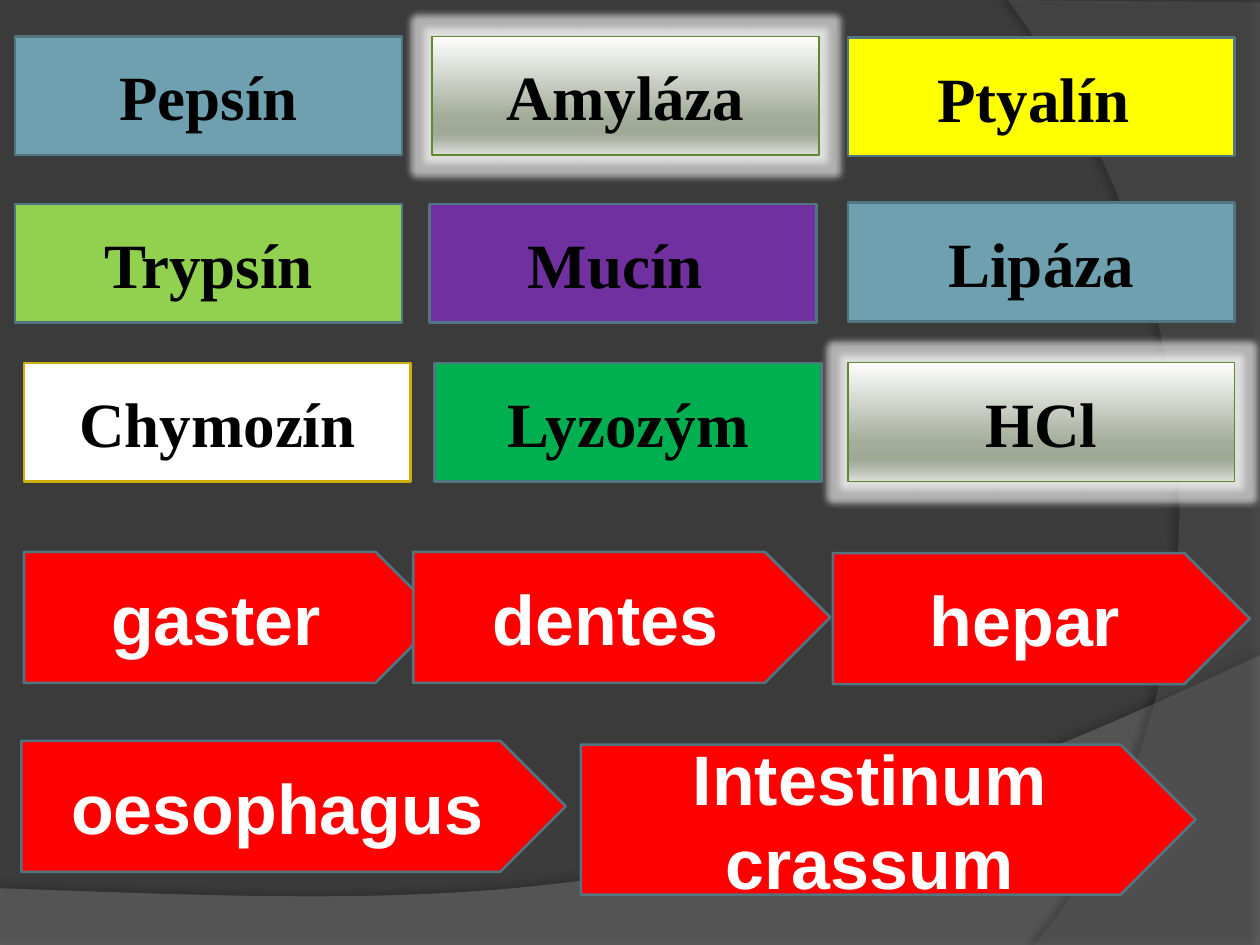
from lxml.etree import SubElement
from pptx import Presentation
from pptx.dml.color import RGBColor
from pptx.enum.shapes import MSO_SHAPE as Preset
from pptx.enum.text import MSO_ANCHOR as Anchor, PP_ALIGN as Align
from pptx.oxml.ns import qn
from pptx.util import Inches, Pt

COLORS = {
    "background": "3B3B3B", "floor": "7F7F7F", "side": "5E5E5E", "shadow": "000000",
    "glow": "FEFEFE", "black": "000000", "white": "FFFFFF", "teal": "6EA0B0",
    "yellow": "FFFF00", "lime": "92D050", "purple": "7030A0", "green": "00B050",
    "red": "FF0000", "border": "517682", "gold": "CCAF0A", "moss": "5F882F",
}
SILVER_STOPS = [(0, "FEFEFE"), (68, "A3AC9A"), (81, "9FA996"), (86, "A9B1A1"), (100, "DBDED9")]
ENZYME_SIZE = (3.07, 0.94)
ORGAN_SIZE = (3.31, 1.04)
ENZYMES = [
    ("Pepsín", 0.12, 0.29, "teal", "border"),
    ("Amyláza", 3.43, 0.29, "silver", "moss"),
    ("Ptyalín ", 6.73, 0.3, "yellow", "border"),
    ("Trypsín", 0.12, 1.62, "lime", "border"),
    ("Mucín ", 3.41, 1.62, "purple", "border"),
    ("Lipáza", 6.73, 1.61, "teal", "border"),
    ("Chymozín", 0.19, 2.88, "white", "gold"),
    ("Lyzozým", 3.45, 2.88, "green", "border"),
    ("HCl", 6.73, 2.88, "silver", "moss"),
]
ORGANS = [
    ("gaster", 0.19, 4.38, ORGAN_SIZE),
    ("dentes", 3.28, 4.38, ORGAN_SIZE),
    ("oesophagus", 0.17, 5.88, (4.32, 1.04)),
    ("Intestinum crassum", 4.61, 5.91, (4.88, 1.19)),
    ("hepar", 6.61, 4.39, ORGAN_SIZE),
]
WAVES = [
    {"color": "floor", "alpha": 45, "corners": [(0, 7.5), (10, 7.5)],
     "curve": [(10, 5.2), (5.59, 7.29), (3.91, 7.19), (0, 7.05)],
     "shadow": (35, 4, 3.5, 270)},
    {"color": "side", "alpha": 40, "corners": [(10, 0.02), (10, 7.5)],
     "curve": [(8.21, 7.5), (9.35, 6.19), (10.18, 3), (8, 0)],
     "shadow": (45, 4, 4, 180)},
]


def rgb(name):
    return RGBColor.from_string(COLORS[name])


def add_color(parent, value, alpha=None):
    color = SubElement(parent, qn("a:srgbClr"), val=value)
    if alpha is not None:
        SubElement(color, qn("a:alpha"), val=str(alpha * 1000))


def add_effect(shape, tag, color, alpha, **attributes):
    effects = shape._element.spPr.find(qn("a:effectLst"))
    effect = SubElement(effects, qn(tag), {key: str(value) for key, value in attributes.items()})
    add_color(effect, COLORS[color], alpha)


def bezier_points(curve, steps=60):
    for step in range(steps + 1):
        t = step / steps
        weights = ((1 - t) ** 3, 3 * t * (1 - t) ** 2, 3 * t * t * (1 - t), t ** 3)
        yield tuple(sum(w * point[axis] for w, point in zip(weights, curve)) for axis in (0, 1))


def add_wave(slide, wave):
    points = [(Inches(x), Inches(y)) for x, y in [*wave["corners"], *bezier_points(wave["curve"])]]
    builder = slide.shapes.build_freeform(*points[0], scale=1.0)
    builder.add_line_segments(points[1:], close=True)
    shape = builder.convert_to_shape()
    shape.fill.solid()
    shape.fill.fore_color.rgb = rgb(wave["color"])
    color = shape._element.spPr.find(qn("a:solidFill"))[0]
    SubElement(color, qn("a:alpha"), val=str(wave["alpha"] * 1000))
    shape.line.fill.background()
    shape.shadow.inherit = False
    alpha, blur, distance, angle = wave["shadow"]
    add_effect(shape, "a:outerShdw", "shadow", alpha,
               blurRad=Pt(blur), dist=Pt(distance), dir=angle * 60000)


def fill_silver(shape):
    shape.fill.gradient()
    shape.fill.gradient_angle = 270
    stops = shape._element.spPr.find(qn("a:gradFill")).find(qn("a:gsLst"))
    for stop in list(stops):
        stops.remove(stop)
    for position, value in SILVER_STOPS:
        add_color(SubElement(stops, qn("a:gs"), pos=str(position * 1000)), value)
    add_effect(shape, "a:glow", "glow", 60, rad=Pt(8))


def add_label(slide, preset, text, left, top, size, fill, border, font_name, font_size, font_color):
    shape = slide.shapes.add_shape(preset, *map(Inches, (left, top, *size)))
    shape.shadow.inherit = False
    if fill == "silver":
        fill_silver(shape)
    else:
        shape.fill.solid()
        shape.fill.fore_color.rgb = rgb(fill)
    shape.line.color.rgb = rgb(border)
    shape.line.width = Pt(0.75 if fill == "silver" else 1.5)
    frame = shape.text_frame
    frame.word_wrap = True
    frame.vertical_anchor = Anchor.MIDDLE
    paragraph = frame.paragraphs[0]
    paragraph.text = text
    paragraph.alignment = Align.CENTER
    font = paragraph.font
    font.name, font.size, font.bold = font_name, Pt(font_size), True
    font.color.rgb = rgb(font_color)


def main():
    """Build the slide of enzyme boxes and organ arrows."""
    presentation = Presentation()
    presentation.slide_width, presentation.slide_height = Inches(10), Inches(7.5)
    slide = presentation.slides.add_slide(presentation.slide_layouts[6])
    slide.background.fill.solid()
    slide.background.fill.fore_color.rgb = rgb("background")
    for wave in WAVES:
        add_wave(slide, wave)
    for text, left, top, fill, border in ENZYMES:
        add_label(slide, Preset.RECTANGLE, text, left, top, ENZYME_SIZE, fill, border,
                  "Times New Roman", 36, "black")
    for text, left, top, size in ORGANS:
        add_label(slide, Preset.PENTAGON, text, left, top, size, "red", "border",
                  "Arial", 40, "white")
    presentation.save("out.pptx")


if __name__ == "__main__":
    main()
